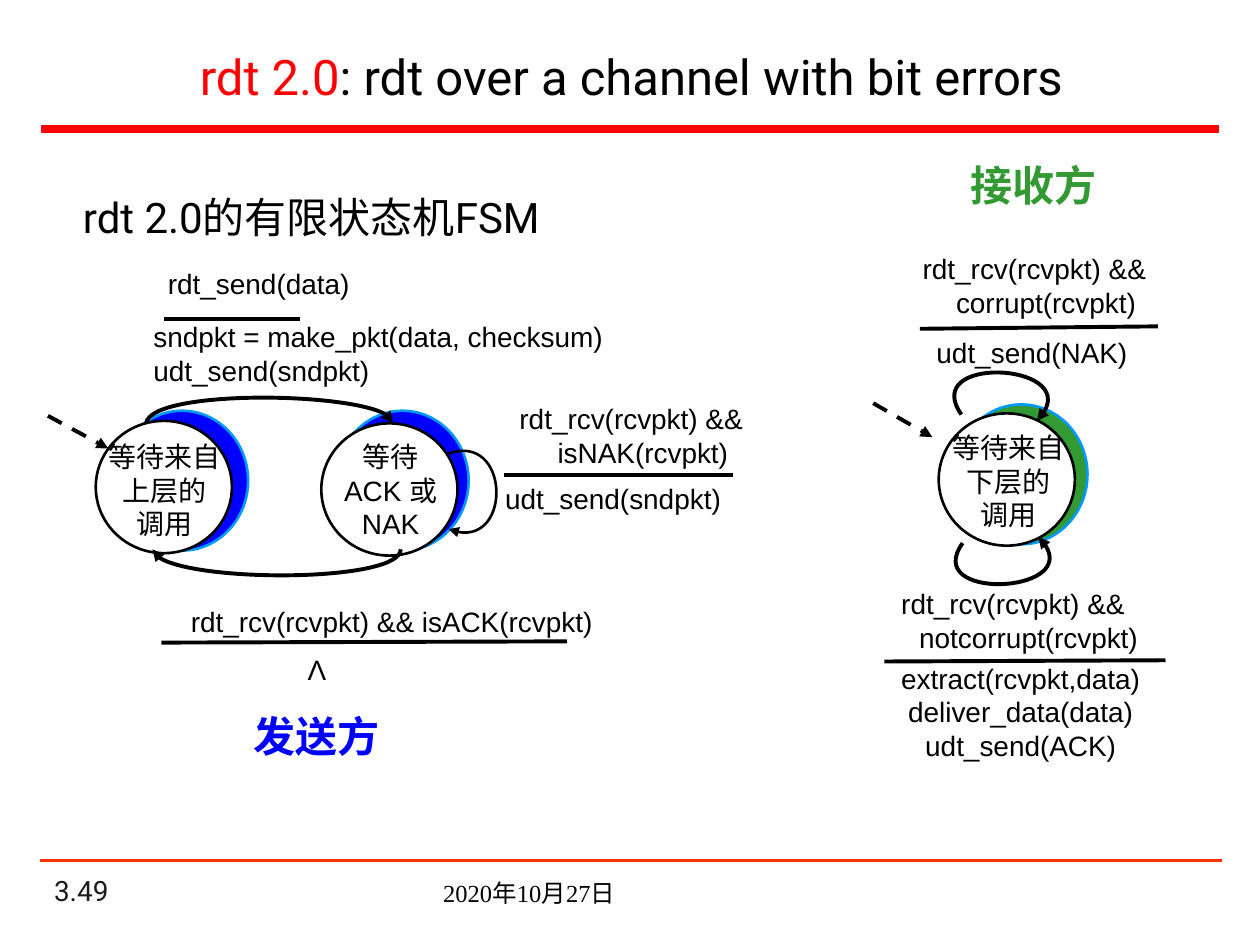
from lxml.etree import SubElement
from pptx import Presentation
from pptx.dml.color import RGBColor
from pptx.enum.dml import MSO_LINE
from pptx.enum.shapes import MSO_CONNECTOR, MSO_SHAPE
from pptx.enum.text import MSO_ANCHOR as ANCHOR, PP_ALIGN as ALIGN
from pptx.oxml.ns import qn
from pptx.util import Pt

COLORS = {
    "black": "000000", "white": "FFFFFF", "red": "FF0000", "orange": "FF3300",
    "blue": "0000FF", "sky": "0099FF", "green": "339933", "number": "1C1C1C",
}

deck = Presentation()
deck.slide_width, deck.slide_height = Pt(720), Pt(540)
slide = deck.slides.add_slide(deck.slide_layouts[6])
shapes = slide.shapes


def add_text(content, box, size=16, font="Arial", color="black", bold=False,
             align=ALIGN.CENTER, anchor=ANCHOR.TOP, wrap=True, indent=0, lead=""):
    frame = shapes.add_textbox(*map(Pt, box)).text_frame
    frame.word_wrap = wrap
    frame.vertical_anchor = anchor
    for index, line in enumerate(content.split("\n")):
        paragraph = frame.paragraphs[0] if index == 0 else frame.add_paragraph()
        paragraph.alignment = align
        if index and indent:
            paragraph._p.get_or_add_pPr().set("marL", str(Pt(indent)))
        runs = [(lead, "red"), (line, color)] if lead else [(line, color)]
        for words, tint in runs:
            run = paragraph.add_run()
            run.text = words
            run.font.size = Pt(size)
            run.font.name = font
            run.font.bold = bold
            run.font.color.rgb = RGBColor.from_string(COLORS[tint])


def style_line(stroke, width, color="black", arrow=None, dashed=False):
    stroke.line.color.rgb = RGBColor.from_string(COLORS[color])
    stroke.line.width = Pt(width)
    if dashed:
        stroke.line.dash_style = MSO_LINE.DASH
    if arrow:
        SubElement(stroke.line._get_or_add_ln(), qn(f"a:{arrow}"), type="triangle")
    properties = stroke._element.spPr
    if properties.find(qn("a:effectLst")) is None:
        SubElement(properties, qn("a:effectLst"))


title_rule = shapes.add_shape(MSO_SHAPE.RECTANGLE, Pt(23.8), Pt(72), Pt(672.5), Pt(3.6))
title_rule.fill.solid()
title_rule.fill.fore_color.rgb = RGBColor.from_string(COLORS["red"])
style_line(title_rule, 1, "red")

add_text(": rdt over a channel with bit errors", (28.8, 18, 663.8, 50.4), size=28,
         font="Roboto", anchor=ANCHOR.MIDDLE, lead="rdt 2.0")
add_text("rdt 2.0的有限状态机FSM", (40.3, 105.8, 643.7, 39.6), size=24,
         font="Roboto", align=ALIGN.LEFT)
add_text("3.49", (23.8, 504, 149.8, 18), font="Roboto", color="number",
         align=ALIGN.LEFT, anchor=ANCHOR.BOTTOM)
add_text("2020年10月27日", (246.2, 498.2, 275.8, 24.5), size=14,
         font="Times New Roman", align=ALIGN.LEFT)

halo_size = (75.6, 79.9)
state_size = (77.8, 75.6)
halos = [(545.8, 231.1, halo_size, "green", "sky"),
         (192.2, 234.7, halo_size, "blue", "sky"),
         (66.2, 234.7, halo_size, "blue", "sky")]
states = [(54.7, 240.5, state_size, "white", "black"),
          (183.6, 241.9, state_size, "white", "black"),
          (536.4, 236.2, state_size, "white", "black")]
for left, top, (width, height), fill, outline in halos + states:
    circle = shapes.add_shape(MSO_SHAPE.OVAL, Pt(left), Pt(top), Pt(width), Pt(height))
    circle.fill.solid()
    circle.fill.fore_color.rgb = RGBColor.from_string(COLORS[fill])
    style_line(circle, 1.5, outline)

transitions = [
    ([(83.5, 241.9), (86.4, 222.5), (224.6, 223.9), (224.6, 241.9)], 2.25, "tailEnd"),
    ([(87.1, 313.9), (90, 333.4), (229, 332.6), (229, 313.9)], 2.25, "headEnd"),
    ([(256.3, 259.2), (290.9, 247), (293, 316.8), (256.3, 302.4)], 1.5, "tailEnd"),
    ([(549.4, 236.9), (525.6, 203), (624.2, 207.4), (592.6, 240.5)], 2.25, "tailEnd"),
    ([(550.1, 310.3), (526.3, 343.4), (625.7, 339.1), (593.3, 306.7)], 2.25, "tailEnd"),
]
for points, width, arrow in transitions:
    start, *controls = [(Pt(x), Pt(y)) for x, y in points]
    builder = shapes.build_freeform(*start)
    builder.add_line_segments(controls, close=False)
    transition = builder.convert_to_shape()
    outline = transition._element.find(".//" + qn("a:path"))
    bezier = SubElement(outline, qn("a:cubicBezTo"))
    for segment in outline.findall(qn("a:lnTo")):
        bezier.append(segment[0])
        outline.remove(segment)
    transition.fill.background()
    style_line(transition, width, arrow=arrow)

rules = [
    (23, 491.8, 698.4, 491.8, 1.5, "orange", None, False),
    (93.6, 182.2, 171.4, 182.2, 2.25, "black", None, False),
    (505.4, 378, 666, 377.3, 2.25, "black", None, False),
    (92.2, 367.2, 324, 366.5, 2.25, "black", None, False),
    (288, 271.4, 419, 271.4, 2.25, "black", None, False),
    (525.6, 187.9, 661.7, 186.5, 2.25, "black", None, False),
    (499, 230.4, 532.8, 249.8, 2.25, "black", "tailEnd", True),
    (27.4, 237.6, 61.9, 256.3, 2.25, "black", "tailEnd", True),
]
for x1, y1, x2, y2, width, color, arrow, dashed in rules:
    rule = shapes.add_connector(MSO_CONNECTOR.STRAIGHT, Pt(x1), Pt(y1), Pt(x2), Pt(y2))
    style_line(rule, width, color, arrow, dashed)

add_text("等待来自\n上层的\n调用", (46.8, 247.7, 94.3, 48.2))
add_text("等待\nACK 或 NAK", (180.7, 247.7, 85, 48.2))
add_text("等待来自\n下层的\n调用", (529.2, 242.6, 94.3, 48.2))

add_text("rdt_send(data)", (59, 149, 177.8, 33.8))
add_text("sndpkt = make_pkt(data, checksum)\nudt_send(sndpkt)",
         (80.6, 179.3, 286.6, 43.9), align=ALIGN.LEFT)
add_text("rdt_rcv(rcvpkt) && isACK(rcvpkt)", (84.2, 342, 279.4, 22.3))
add_text("Λ", (168.5, 369.4, 25.2, 26.6), wrap=False)
add_text("rdt_rcv(rcvpkt) &&\nisNAK(rcvpkt)", (278.6, 226.1, 164.2, 49.7), indent=13.3)
add_text("udt_send(sndpkt)", (280.8, 271.4, 139, 31.7))

add_text("rdt_rcv(rcvpkt) &&\ncorrupt(rcvpkt)", (515.5, 140.4, 151.2, 24.5), indent=13.3)
add_text("udt_send(NAK)", (517.7, 187.9, 144, 20.2))
add_text("rdt_rcv(rcvpkt) &&\nnotcorrupt(rcvpkt)", (493.9, 331.9, 169.9, 55.4), indent=17.8)
add_text("extract(rcvpkt,data)\ndeliver_data(data)\nudt_send(ACK)", (499, 374.4, 168.5, 49))

for role, left, top, color in (("发送方", 137.5, 402.5, "blue"),
                               ("接收方", 547.2, 87.8, "green")):
    add_text(role, (left, top, 87.1, 36), size=24, color=color, bold=True, wrap=False)

deck.save("out.pptx")
